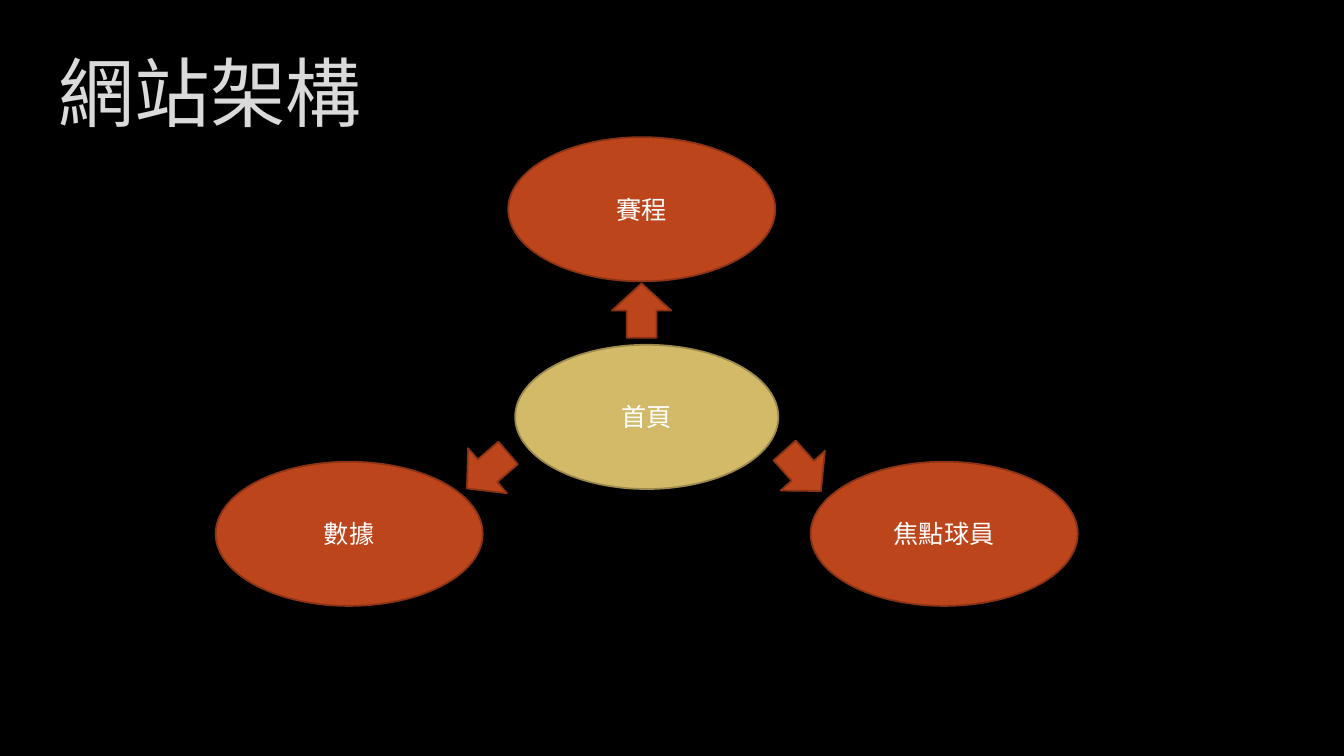
from collections import namedtuple
from dataclasses import dataclass

from pptx import Presentation
from pptx.dml.color import RGBColor
from pptx.enum.shapes import MSO_SHAPE as Preset
from pptx.enum.text import MSO_ANCHOR as Anchor, PP_ALIGN as Align
from pptx.util import Pt

Box = namedtuple("Box", "left top width height")
Paint = namedtuple("Paint", "fill line")


@dataclass(frozen=True)
class Theme:
    font: str = "Arial"
    background: str = "000000"
    title_color: str = "DADADA"
    label_color: str = "FFFFFF"
    home: Paint = Paint("D3BA68", "9C8A4D")
    page: Paint = Paint("BC451B", "8B3314")
    title_size: float = 54
    label_size: float = 18
    line_width: float = 1.25


THEME = Theme()


def color(value):
    return RGBColor.from_string(value)


def write_centered(shape, text, size, text_color):
    frame = shape.text_frame
    frame.word_wrap = True
    frame.vertical_anchor = Anchor.MIDDLE
    paragraph = frame.paragraphs[0]
    paragraph.alignment = Align.CENTER
    run = paragraph.add_run()
    run.text = text
    run.font.name = THEME.font
    run.font.size = Pt(size)
    run.font.color.rgb = color(text_color)


def add_painted(slide, preset, box, paint):
    shape = slide.shapes.add_shape(preset, *map(Pt, box))
    shape.shadow.inherit = False
    shape.fill.solid()
    shape.fill.fore_color.rgb = color(paint.fill)
    shape.line.color.rgb = color(paint.line)
    shape.line.width = Pt(THEME.line_width)
    return shape


def add_title(slide, box, text):
    title = slide.shapes.add_textbox(*map(Pt, box))
    write_centered(title, text, THEME.title_size, THEME.title_color)


def add_site_map(slide, box):
    page_width, oval_height = 190.8, 103
    lower_row = box.height - oval_height
    right_column = box.width - page_width

    # Home page and the three pages around it: text, x, y, width, paint
    ovals = [
        ("首頁", 214, 148.3, 188, THEME.home),
        ("數據", 0, lower_row, page_width, THEME.page),
        ("賽程", 209, 0, page_width, THEME.page),
        ("焦點球員", right_column, lower_row, page_width, THEME.page),
    ]
    for text, x, y, width, paint in ovals:
        place = Box(box.left + x, box.top + y, width, oval_height)
        oval = add_painted(slide, Preset.OVAL, place, paint)
        write_centered(oval, text, THEME.label_size, THEME.label_color)

    # Arrows from the home page outwards: x, y, rotation
    for x, y, rotation in [(398.2, 218.8, 318.2), (173, 218.8, 49.2), (283, 104.4, 180)]:
        place = Box(box.left + x, box.top + y, 42.5, 38.9)
        arrow = add_painted(slide, Preset.DOWN_ARROW, place, THEME.page)
        arrow.rotation = rotation


def build_site_structure(presentation):
    slide = presentation.slides.add_slide(presentation.slide_layouts[6])
    slide.background.fill.solid()
    slide.background.fill.fore_color.rgb = color(THEME.background)
    add_title(slide, Box(0, 27.4, 300, 76.3), "網站架構")
    add_site_map(slide, Box(154, 98, 615.8, 334.8))


presentation = Presentation()
presentation.slide_width = Pt(960)
presentation.slide_height = Pt(540)
build_site_structure(presentation)
presentation.save("out.pptx")
